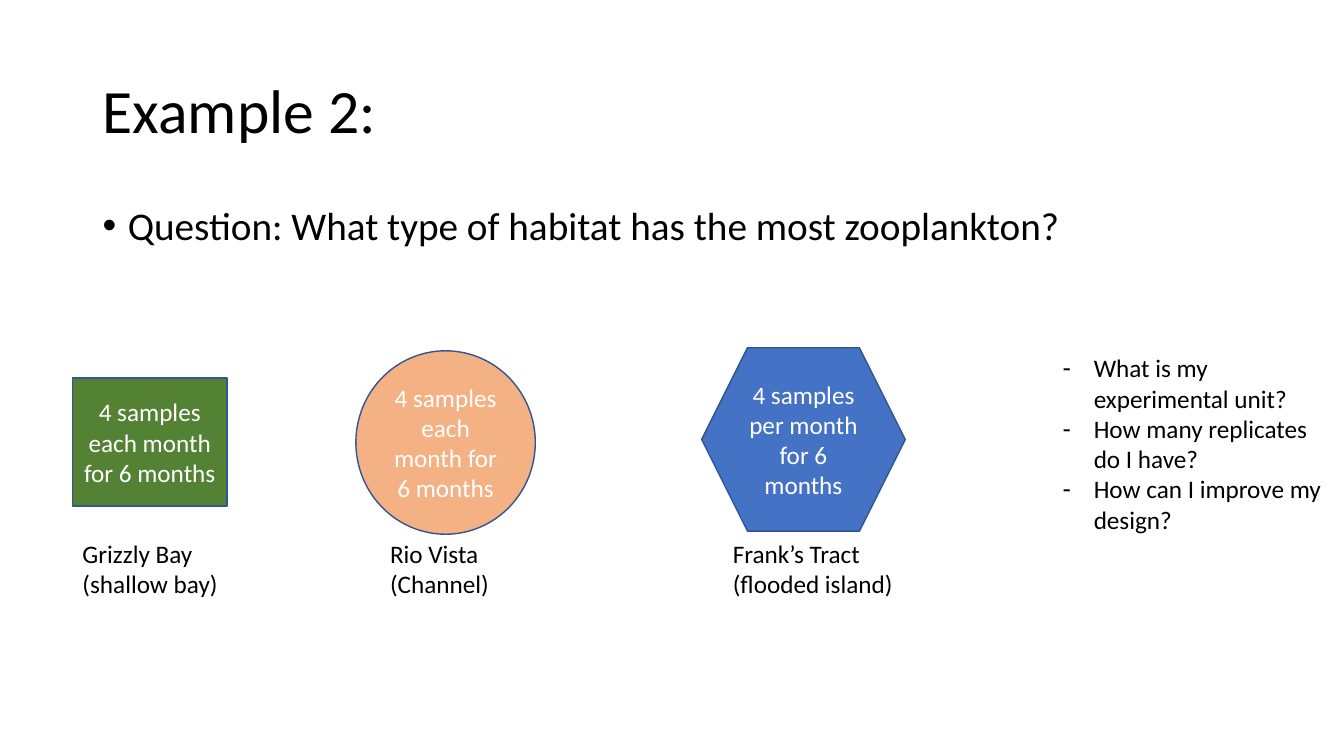
import pptx
import pptx.util
import pptx.dml.color
import pptx.enum.shapes
import pptx.enum.text
import pptx.oxml.ns
import lxml.etree

WIDE = pptx.util.Inches(13.33)
HIGH = pptx.util.Inches(7.5)
FONT = "Calibri"
COLORS = {
    "ink": "000000",
    "light": "FFFFFF",
    "edge": "325491",
    "bay": "548235",
    "channel": "F4B183",
    "island": "4472C4",
}
KINDS = pptx.enum.shapes.MSO_SHAPE
MIDDLE = pptx.enum.text.MSO_ANCHOR.MIDDLE

# Boxes are left, top, width and height in percent of the slide.
TITLE = (6.9, 5.33, 86.25, 19.33)
QUESTION = (6.9, 26.67, 86.25, 12.53)
NOTES = (78.32, 46, 20.78, 29.6)
LABEL_TOP, LABEL_HIGH = 70.53, 9.47

# Shape, fill, words, box, label, label indent, label width
SITES = [
    (KINDS.RECTANGLE, "bay", "4 samples each month for 6 months",
     (5.4, 50, 11.48, 16.93), "Grizzly Bay\n(shallow bay)", 0, 11.7),
    (KINDS.OVAL, "channel", "4 samples each month for 6 months",
     (26.48, 46.4, 13.35, 24.27), "Rio Vista\n(Channel)", 1.8, 9),
    (KINDS.HEXAGON, "island", "4 samples per month for 6 months",
     (52.21, 46, 15.15, 24.27), "Frank’s Tract\n(flooded island)", 1.58, 13.58),
]


def rgb(name):
    return pptx.dml.color.RGBColor.from_string(COLORS[name])


def place(box):
    """Turn a percent box into slide lengths."""
    left, top, width, height = box
    return [int(part * side / 100) for part, side in
            ((left, WIDE), (top, HIGH), (width, WIDE), (height, HIGH))]


def write(frame, words, size, color="ink", wrap=True):
    frame.text = words
    frame.word_wrap = wrap
    for para in frame.paragraphs:
        for run in para.runs:
            run.font.size = pptx.util.Pt(size)
            run.font.name = FONT
            run.font.color.rgb = rgb(color)


def add_text(slide, box, words, size, wrap=True):
    frame = slide.shapes.add_textbox(*place(box)).text_frame
    write(frame, words, size, wrap=wrap)
    return frame


def add_marks(frame, mark, indent):
    """Give each paragraph a bullet with a hanging indent in inches."""
    for para in frame.paragraphs:
        props = para._p.get_or_add_pPr()
        props.set("marL", str(pptx.util.Inches(indent)))
        props.set("indent", str(-pptx.util.Inches(indent)))
        font = lxml.etree.SubElement(props, pptx.oxml.ns.qn("a:buFont"))
        font.set("typeface", "Arial")
        char = lxml.etree.SubElement(props, pptx.oxml.ns.qn("a:buChar"))
        char.set("char", mark)


def add_title(slide, box):
    frame = add_text(slide, box, "Example 2:", 44)
    frame.vertical_anchor = MIDDLE
    frame.paragraphs[0].line_spacing = 0.9


def add_question(slide, box):
    frame = add_text(
        slide, box,
        "Question: What type of habitat has the most zooplankton?", 28)
    para = frame.paragraphs[0]
    para.line_spacing = 0.9
    para.space_before = pptx.util.Pt(10)
    add_marks(frame, "•", 0.25)


def add_site(slide, kind, fill, words, box, label, indent, width):
    shape = slide.shapes.add_shape(kind, *place(box))
    shape.shadow.inherit = False
    shape.fill.solid()
    shape.fill.fore_color.rgb = rgb(fill)
    shape.line.color.rgb = rgb("edge")
    shape.line.width = pptx.util.Pt(1)
    write(shape.text_frame, words, 18, "light")
    shape.text_frame.vertical_anchor = MIDDLE
    shape.text_frame.paragraphs[0].alignment = pptx.enum.text.PP_ALIGN.CENTER
    spot = (box[0] + indent, LABEL_TOP, width, LABEL_HIGH)
    add_text(slide, spot, label, 18, wrap=False)


def add_notes(slide, box):
    frame = add_text(slide, box, "\n".join([
        "What is my experimental unit?",
        "How many replicates do I have?",
        "How can I improve my design?",
    ]), 18)
    add_marks(frame, "-", 0.31)


def main():
    deck = pptx.Presentation()
    deck.slide_width, deck.slide_height = WIDE, HIGH
    slide = deck.slides.add_slide(deck.slide_layouts[6])
    add_title(slide, TITLE)
    add_question(slide, QUESTION)
    for site in SITES:
        add_site(slide, *site)
    add_notes(slide, NOTES)
    deck.save("out.pptx")


if __name__ == "__main__":
    main()
